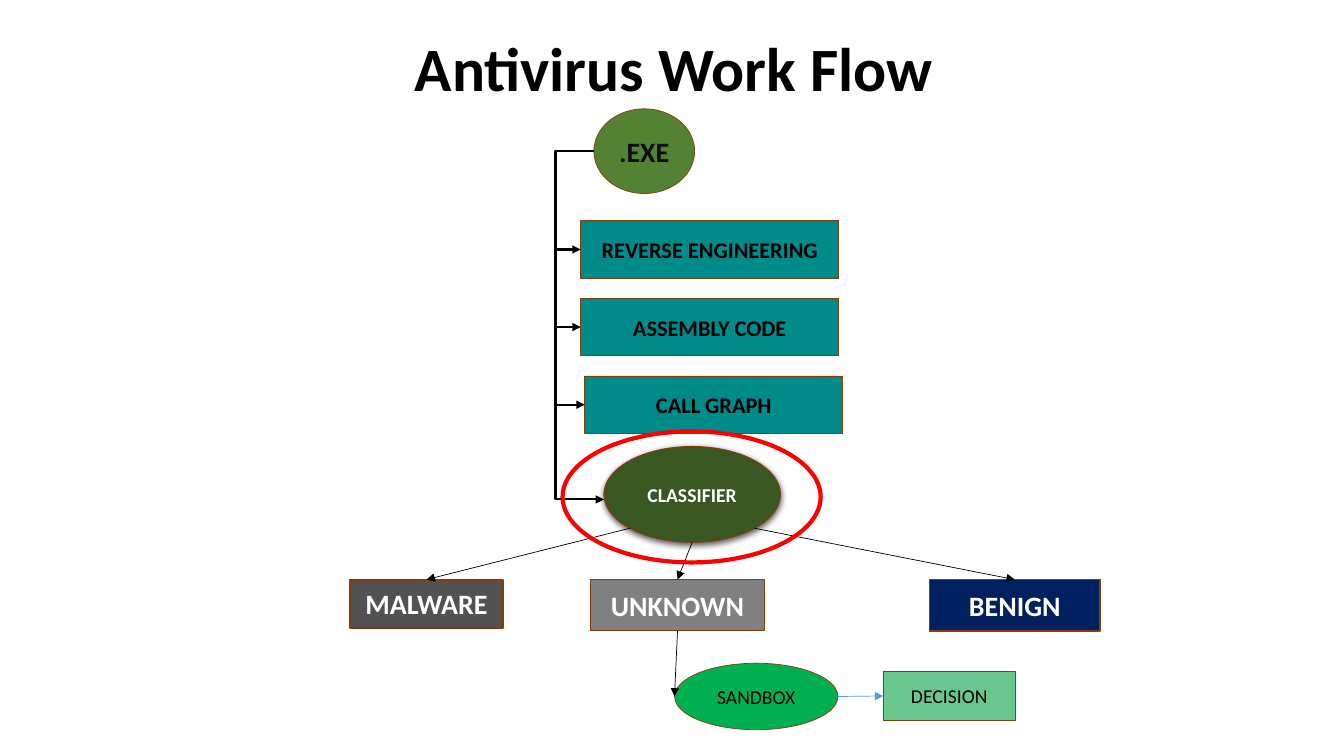
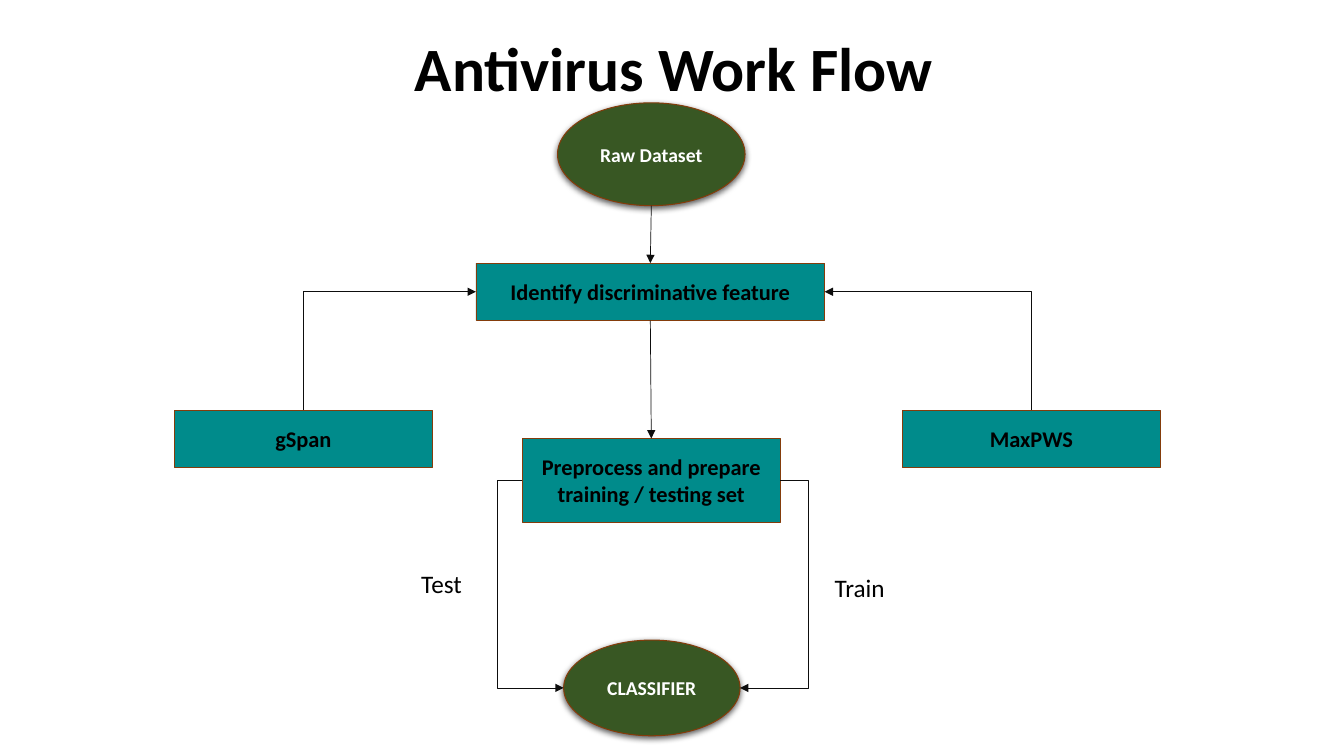
from dataclasses import dataclass
from math import sqrt

from lxml import etree
from pptx import Presentation
from pptx.dml.color import RGBColor
from pptx.enum.shapes import MSO_CONNECTOR, MSO_SHAPE
from pptx.enum.text import MSO_ANCHOR, PP_ALIGN
from pptx.oxml.ns import qn
from pptx.util import Inches, Pt

FONT = "Calibri"
BLACK, INK, WHITE = "000000", "0D0D0D", "FFFFFF"
OUTLINE, TEAL, DARK_GREEN = "843C0B", "008B8B", "385723"
TOP, LEFT, BOTTOM, RIGHT = range(4)
STEP_WIDTH, STEP_HEIGHT = 2.56, 0.57


@dataclass
class Style:
    fill: str
    color: str = BLACK
    size: int = 16
    bold: bool = True
    outline: float = 0.5
    shadow: bool = False


STEP = Style(TEAL)
STAGE = Style(DARK_GREEN, WHITE, 14, outline=0.75, shadow=True)


# Shared helpers
def rgb(value):
    return RGBColor.from_string(value)


def inches(*values):
    return [Inches(value) for value in values]


def write(shape, text, size, color, bold=False, align=PP_ALIGN.CENTER):
    frame = shape.text_frame
    frame.word_wrap = True
    frame.text = text
    para = frame.paragraphs[0]
    para.alignment = align
    font = para.runs[0].font
    font.name, font.size, font.bold = FONT, Pt(size), bold
    font.color.rgb = rgb(color)
    return frame


def add_label(page, text, left, top, width, height, size=18, bold=False,
              align=PP_ALIGN.LEFT):
    box = page.shapes.add_textbox(*inches(left, top, width, height))
    return write(box, text, size, BLACK, bold, align)


def add_title(page):
    frame = add_label(page, "Antivirus Work Flow", 1.79, 0.21, 9.79, 0.9,
                      44, True, PP_ALIGN.CENTER)
    frame.vertical_anchor = MSO_ANCHOR.MIDDLE


def add_shadow(shape):
    effects = shape._element.spPr.find(qn("a:effectLst"))
    shadow = etree.SubElement(effects, qn("a:outerShdw"), blurRad=str(Pt(4.5)),
                              dist=str(Pt(1.5)), dir="5400000", rotWithShape="0")
    color = etree.SubElement(shadow, qn("a:srgbClr"), val=BLACK)
    etree.SubElement(color, qn("a:alpha"), val="63000")


def add_node(page, kind, text, style, left, top, width, height):
    node = page.shapes.add_shape(kind, *inches(left, top, width, height))
    node.shadow.inherit = False
    node.fill.solid()
    node.fill.fore_color.rgb = rgb(style.fill)
    node.line.color.rgb = rgb(OUTLINE)
    node.line.width = Pt(style.outline)
    if style.shadow:
        add_shadow(node)
    frame = write(node, text, style.size, style.color, style.bold)
    frame.margin_left = frame.margin_right = Inches(0.05)
    frame.vertical_anchor = MSO_ANCHOR.MIDDLE
    return node


def add_box(page, *details):
    return add_node(page, MSO_SHAPE.RECTANGLE, *details)


def add_oval(page, *details):
    return add_node(page, MSO_SHAPE.OVAL, *details)


def side(node, number):
    """Middle of one side of a node, in EMU."""
    across, down = ((0.5, 0), (0, 0.5), (0.5, 1), (1, 0.5))[number]
    return (round(node.left + node.width * across),
            round(node.top + node.height * down))


def diagonal(oval, direction):
    """Lower left (-1) or lower right (1) point of an oval, in EMU."""
    return (round(oval.left + oval.width / 2 * (1 + direction / sqrt(2))),
            round(oval.top + oval.height / 2 * (1 + 1 / sqrt(2))))


def add_arrow(page, start, end, color=BLACK, width=0.5, kind=MSO_CONNECTOR.STRAIGHT):
    arrow = page.shapes.add_connector(kind, *start, *end)
    arrow.line.color.rgb = rgb(color)
    arrow.line.width = Pt(width)
    etree.SubElement(arrow.line._get_or_add_ln(), qn("a:tailEnd"), type="triangle")
    etree.SubElement(arrow._element.spPr, qn("a:effectLst"))
    return arrow


def add_elbow(page, start, end, turn, color=INK, width=0.5):
    """Arrow that runs vertically at the horizontal position turn (EMU)."""
    arrow = add_arrow(page, start, end, color, width, MSO_CONNECTOR.ELBOW)
    share = (turn - start[0]) / (end[0] - start[0])
    guides = arrow._element.spPr.find(qn("a:prstGeom")).get_or_add_avLst()
    etree.SubElement(guides, qn("a:gd"), name="adj1",
                     fmla=f"val {round(share * 100000)}")


def add_classifier(page, left, top):
    return add_oval(page, "CLASSIFIER", STAGE, left, top, 1.75, 0.95)


# Antivirus slide: file, analysis steps and classifier beside a trunk line
def analysis_chain(page, left, top):
    program = add_oval(page, ".EXE", Style("548235", INK, 20),
                       left + 0.38, top, 1, 0.84)
    steps = (("REVERSE ENGINEERING", 0.25), ("ASSEMBLY CODE", 0.25),
             ("CALL GRAPH", 0.29))
    targets = [add_box(page, text, STEP, left + indent, top + 1.11 + 0.77 * row,
                       STEP_WIDTH, STEP_HEIGHT)
               for row, (text, indent) in enumerate(steps)]
    classifier = add_classifier(page, left + 0.48, top + 3.35)
    trunk = Inches(left)
    start = side(program, LEFT)
    for target in targets + [classifier]:
        end = side(target, LEFT)
        if target is classifier:
            end = (end[0], end[1] + Inches(0.05))
        add_elbow(page, start, end, trunk, BLACK, 1.5)
        start = (trunk, end[1])
    return classifier


# Antivirus slide: three verdicts under the classifier
def verdicts(page, classifier, left, top):
    malware = add_box(page, "MALWARE", Style("525252", WHITE, 20, outline=1.5),
                      left, top, 1.52, 0.48)
    unknown = add_box(page, "UNKNOWN", Style("808080", WHITE, 20, outline=0.75),
                      left + 2.39, top, 1.72, 0.51)
    benign = add_box(page, "BENIGN", Style("002060", WHITE, 20, outline=1),
                     left + 5.75, top, 1.69, 0.51)
    starts = (diagonal(classifier, -1), side(classifier, BOTTOM),
              diagonal(classifier, 1))
    for start, verdict in zip(starts, (malware, unknown, benign)):
        add_arrow(page, start, side(verdict, TOP)).end_connect(verdict, TOP)
    return unknown


# Antivirus slide: handling of unknown files
def sandbox_check(page, unknown, left, top):
    sandbox = add_oval(page, "SANDBOX", Style("00B050", size=14, bold=False),
                       left, top, 1.62, 0.66)
    decision = add_box(page, "DECISION", Style("6AC68F", size=14, bold=False),
                       left + 2.07, top + 0.08, 1.31, 0.49)
    entry = add_arrow(page, side(unknown, BOTTOM), side(sandbox, LEFT))
    entry.begin_connect(unknown, BOTTOM)
    result = add_arrow(page, side(sandbox, RIGHT), side(decision, LEFT), "5B9BD5")
    result.end_connect(decision, LEFT)


def highlight_ring(page, left, top, width, height):
    ring = page.shapes.add_shape(MSO_SHAPE.OVAL, *inches(left, top, width, height))
    ring.shadow.inherit = False
    ring.fill.background()
    ring.line.color.rgb = rgb("FF0000")
    ring.line.width = Pt(3)


# Classifier slide: data set and feature selection
def feature_selection(page, left, top):
    dataset = add_oval(page, "Raw Dataset", STAGE, left + 3.8, top, 1.86, 1.02)
    feature = add_box(page, "Identify discriminative feature", STEP,
                      left + 2.99, top + 1.59, 3.46, STEP_HEIGHT)
    arrow = add_arrow(page, side(dataset, BOTTOM), side(feature, TOP), INK)
    arrow.end_connect(feature, TOP)
    for text, offset, edge in (("gSpan", 0, LEFT), ("MaxPWS", 7.22, RIGHT)):
        miner = add_box(page, text, STEP, left + offset, top + 3.05,
                        STEP_WIDTH, STEP_HEIGHT)
        start = side(miner, TOP)
        add_elbow(page, start, side(feature, edge), start[0])
    return feature


# Classifier slide: preparation, training and testing
def training(page, feature, left, top):
    prepare = add_box(page, "Preprocess and prepare training / testing set", STEP,
                      left + 1.1, top, STEP_WIDTH, 0.83)
    classifier = add_classifier(page, left + 1.51, top + 2)
    arrow = add_arrow(page, side(feature, BOTTOM), side(prepare, TOP), INK)
    arrow.begin_connect(feature, BOTTOM)
    arrow.end_connect(prepare, TOP)
    for edge, turn in ((LEFT, 0.85), (RIGHT, 3.94)):
        add_elbow(page, side(prepare, edge), side(classifier, edge),
                  Inches(left + turn))
    add_label(page, "Test", left, top + 1.24, 1.1, 0.4)
    add_label(page, "Train", left + 4.1, top + 1.28, 1.54, 0.4)


def antivirus_slide(page):
    add_title(page)
    classifier = analysis_chain(page, 5.51, 1.08)
    unknown = verdicts(page, classifier, 3.47, 5.75)
    sandbox_check(page, unknown, 6.69, 6.58)
    highlight_ring(page, 5.58, 4.28, 2.56, 1.3)


def classifier_slide(page):
    add_title(page)
    feature = feature_selection(page, 1.73, 1.02)
    training(page, feature, 4.08, 4.35)


def main():
    deck = Presentation()
    deck.slide_width, deck.slide_height = inches(13.33, 7.5)
    for build in (antivirus_slide, classifier_slide):
        build(deck.slides.add_slide(deck.slide_layouts[6]))
    deck.save("out.pptx")


if __name__ == "__main__":
    main()
